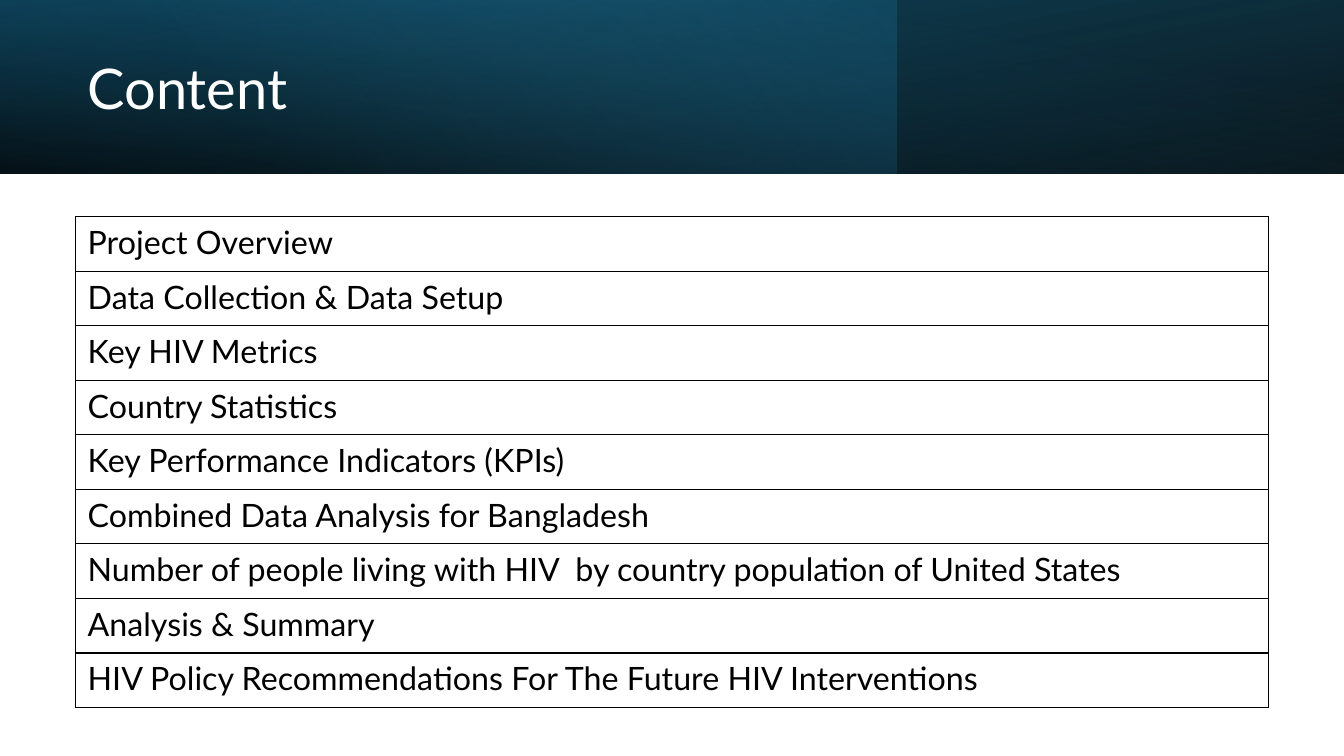
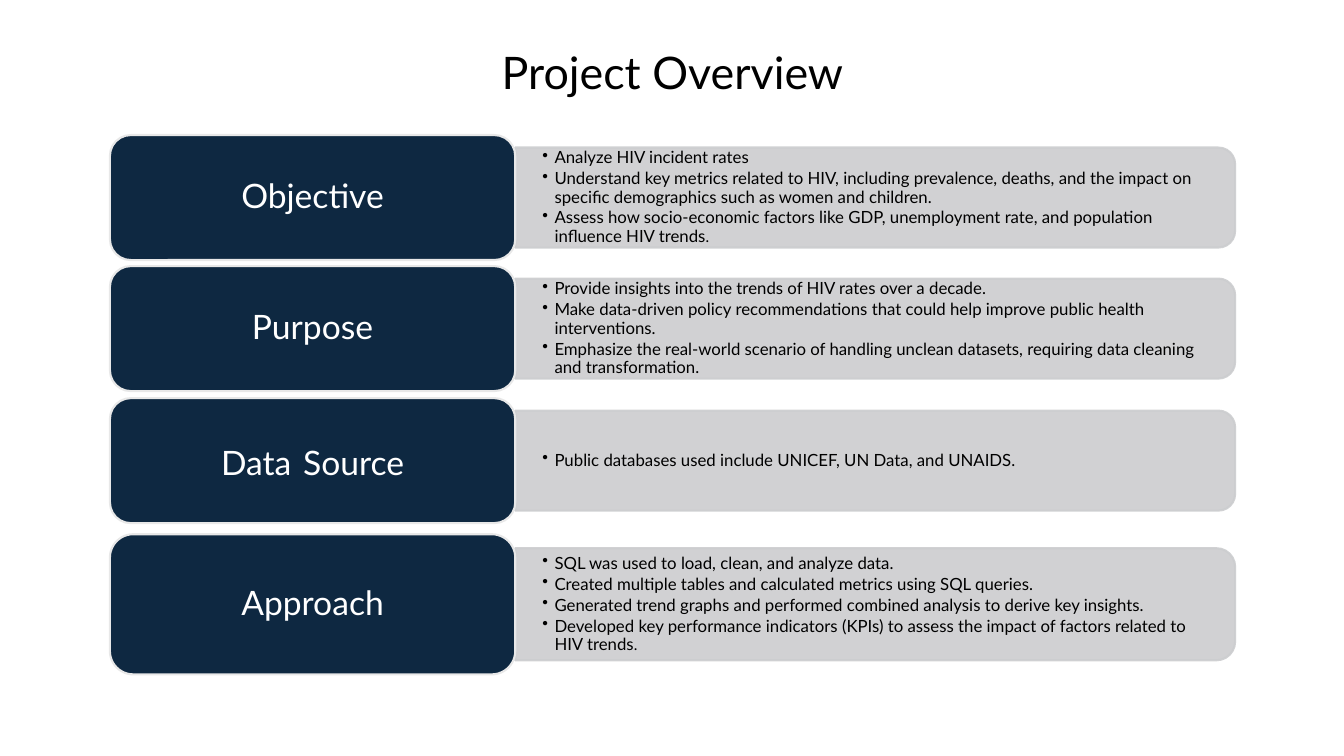
from lxml import etree
from pptx import Presentation
from pptx import util as u
from pptx.dml import color
from pptx.enum import shapes, text
from pptx.oxml import ns

HUES = {
    "ink": "000000", "paper": "FFFFFF", "navy": "0E2841", "edge": "E8E8E8",
    "bar": "CCCDCF", "deep": "104862", "teal": "156082", "sky": "46B1E1",
}
FACE = "Lato"
LEFT, MID = text.PP_ALIGN.LEFT, text.PP_ALIGN.CENTER
RECT = shapes.MSO_SHAPE.RECTANGLE
ROUND = shapes.MSO_SHAPE.ROUNDED_RECTANGLE
TAB = shapes.MSO_SHAPE.ROUND_2_SAME_RECTANGLE

TOPICS = [
    "Project Overview",
    "Data Collection & Data Setup",
    "Key HIV Metrics",
    "Country Statistics",
    "Key Performance Indicators (KPIs)",
    "Combined Data Analysis for Bangladesh",
    "Number of people living with HIV  by country population of United States",
    "Analysis & Summary",
    "HIV Policy Recommendations For The Future HIV Interventions",
]

# Each part: top, height, label runs, bullets; a run may carry its own size.
PARTS = [
    (1.34, 1.24, "Objective", [
        "Analyze HIV incident rates",
        "Understand key metrics related to HIV, including prevalence, deaths, "
        "and the impact on specific demographics such as women and children.",
        ["Assess how socio-economic factors like GDP, unemployment rate, and "
         "population influence HIV trends", (".", 11)],
    ]),
    (2.64, 1.24, "Purpose", [
        "Provide insights into the trends of HIV rates over a decade.",
        "Make data-driven policy recommendations that could help improve "
        "public health interventions.",
        "Emphasize the real-world scenario of handling unclean datasets, "
        "requiring data cleaning and transformation.",
    ]),
    (3.95, 1.24, ["Data", (" ", 33), "Source"], [
        "Public databases used include UNICEF, UN Data, and UNAIDS.",
    ]),
    (5.3, 1.39, "Approach", [
        "SQL was used to load, clean, and analyze data.",
        "Created multiple tables and calculated metrics using SQL queries.",
        "Generated trend graphs and performed combined analysis to derive "
        "key insights.",
        ["Developed key performance indicators (KPIs) to assess the impact "
         "of factors related to HIV trends", (".", 11)],
    ]),
]


def rgb(hue):
    return color.RGBColor.from_string(HUES[hue])


def node(home, tag, **attrs):
    """Append a drawing element with the given attributes."""
    item = etree.SubElement(home, ns.qn("a:" + tag))
    for key, val in attrs.items():
        item.set(key, str(val))
    return item


def tint(home, hue, alpha):
    """Add a colour with an opacity in percent."""
    node(node(home, "srgbClr", val=HUES[hue]), "alpha", val=alpha * 1000)


class Deck:
    def __init__(self):
        self.prs = Presentation()
        self.prs.slide_width = u.Inches(13.33)
        self.prs.slide_height = u.Inches(7.5)
        self.page = None

    def slide(self):
        self.page = self.prs.slides.add_slide(self.prs.slide_layouts[6])

    def shape(self, kind, box, fill=None, edge=None):
        item = self.page.shapes.add_shape(kind, *map(u.Inches, box))
        item.shadow.inherit = False
        if fill:
            item.fill.solid()
            item.fill.fore_color.rgb = rgb(fill)
        else:
            item.fill.background()
        if edge:
            item.line.color.rgb = rgb(edge)
            item.line.width = u.Pt(1.5)
        else:
            item.line.fill.background()
        return item

    def fade(self, box, stops, angle, flip=False, turn=0):
        """Draw a rectangle with a gradient of (place, hue, opacity) stops."""
        item = self.shape(RECT, box)
        item.rotation = turn
        props = item.element.spPr
        if flip:
            props.find(ns.qn("a:xfrm")).set("flipH", "1")
        blank = props.find(ns.qn("a:noFill"))
        grad = etree.Element(ns.qn("a:gradFill"))
        row = node(grad, "gsLst")
        for place, hue, alpha in stops:
            tint(node(row, "gs", pos=place * 1000), hue, alpha)
        node(grad, "lin", ang=angle * 60000, scaled=0)
        props.replace(blank, grad)

    def words(self, frame, lines, size, hue, align=LEFT, bullet=False, **form):
        """Fill a text frame; form holds frame settings such as margins."""
        look = {"word_wrap": True, "vertical_anchor": text.MSO_ANCHOR.MIDDLE}
        for key, val in (look | form).items():
            setattr(frame, key, val)
        for i, line in enumerate(lines):
            para = frame.add_paragraph() if i else frame.paragraphs[0]
            style = {"alignment": align, "line_spacing": 0.9}
            if bullet:
                style["space_after"] = u.Pt(2)
            for key, val in style.items():
                setattr(para, key, val)
            if bullet:
                props = para._p.get_or_add_pPr()
                props.set("marL", str(u.Inches(0.12)))
                props.set("indent", str(-u.Inches(0.12)))
                node(props, "buChar", char="•")
            for part in [line] if isinstance(line, str) else line:
                word, pts = (part, size) if isinstance(part, str) else part
                run = para.add_run()
                run.text = word
                font = {"name": FACE, "size": u.Pt(pts)}
                for key, val in font.items():
                    setattr(run.font, key, val)
                run.font.color.rgb = rgb(hue)

    def label(self, box, lines, size, hue, **form):
        item = self.page.shapes.add_textbox(*map(u.Inches, box))
        self.words(item.text_frame, lines, size, hue, **form)

    def bar(self, box):
        """Draw a translucent bar whose right corners are rounded."""
        x, y, w, h = box
        shift = (w - h) / 2
        item = self.shape(TAB, (x + shift, y - shift, h, w), "bar", "bar")
        item.rotation = 90
        for clr in item.element.spPr.iter(ns.qn("a:srgbClr")):
            node(clr, "alpha", val=90000)

    def table(self, box, rows):
        grid = self.page.shapes.add_table(
            len(rows), 1, *map(u.Inches, box)).table
        grid.first_row = grid.horz_banding = False
        pad = {"margin_left": 0.12, "margin_right": 0.12,
               "margin_top": 0.06, "margin_bottom": 0.06}
        for i, row in enumerate(rows):
            cell = grid.cell(i, 0)
            for key, val in pad.items():
                setattr(cell, key, u.Inches(val))
            self.words(cell.text_frame, [row], 23, "ink")
            for para in cell.text_frame.paragraphs:
                para.line_spacing = 1.0
            props = cell._tc.get_or_add_tcPr()
            for side in "LRTB":
                line = node(props, "ln" + side, w=u.Pt(1))
                tint(node(line, "solidFill"), "ink", 100)
            cell.fill.background()


def content(deck):
    deck.slide()
    band = (0, 0, 13.33, 1.72)
    deck.fade(band, [(0, "ink", 96), (100, "deep", 100)], 100, True, 180)
    deck.fade((0, 0, 8.89, 1.72), [(0, "teal", 41), (74, "sky", 0)], 140)
    deck.fade(band, [(0, "ink", 63), (78, "teal", 15)], 260, True)
    deck.label((0.77, 0.27, 7.72, 1.27), ["Content"], 40, "paper")
    deck.table((0.75, 2.15, 11.83, 4.87), TOPICS)


def overview(deck):
    deck.slide()
    deck.label((0.92, 0.02, 11.5, 1.45), ["Project Overview"], 32, "ink",
               align=MID)
    left, wide, span = 1.09, 4.02, 7.14
    pad = {"margin_left": u.Inches(0.27), "margin_right": u.Inches(0.27),
           "margin_top": 0, "margin_bottom": 0}
    for top, high, name, notes in PARTS:
        box = (left + wide, top + high * 0.1, span, high * 0.8)
        deck.bar(box)
        deck.label(box, notes, 12, "ink", bullet=True, **pad)
        card = deck.shape(ROUND, (left, top, wide, high), "navy", "edge")
        deck.words(card.text_frame, [name], 24, "paper", align=MID)


def main():
    deck = Deck()
    content(deck)
    overview(deck)
    deck.prs.save("out.pptx")


if __name__ == "__main__":
    main()
